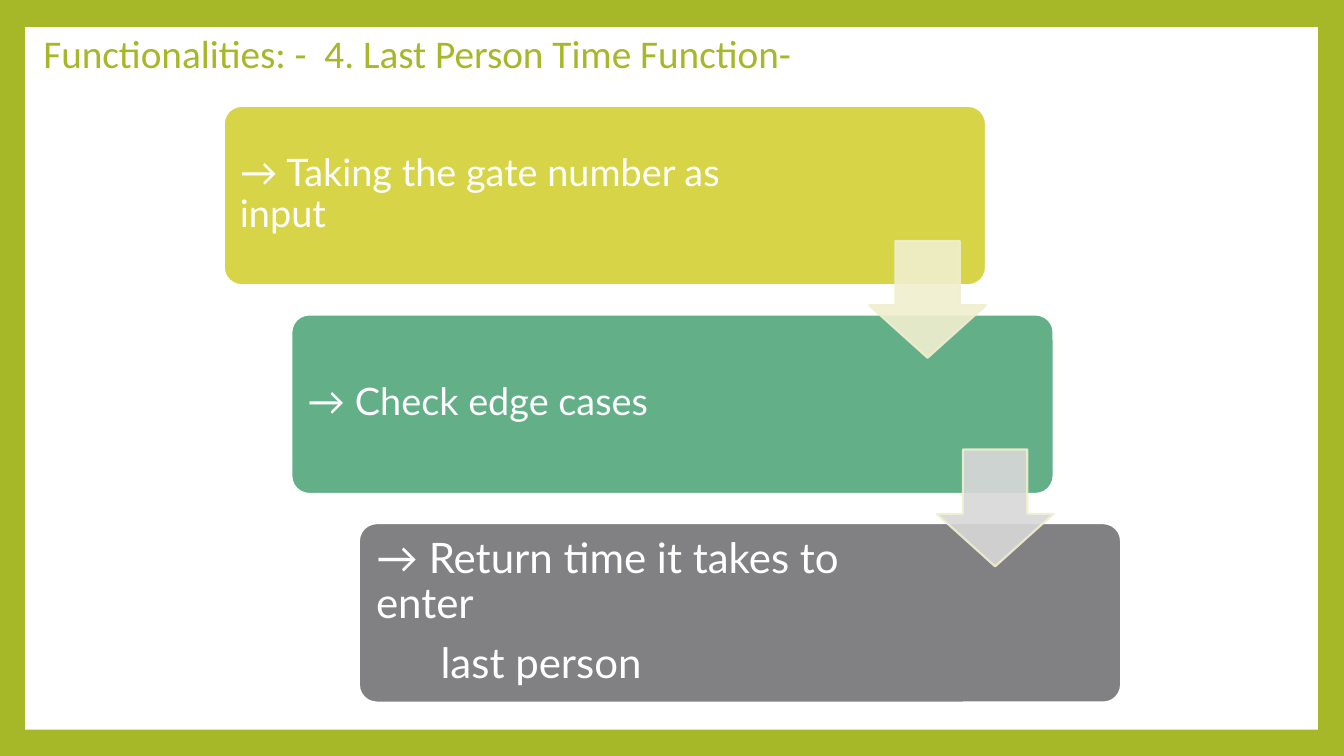
from lxml.etree import SubElement
from pptx import Presentation
from pptx.dml.color import RGBColor
from pptx.enum.shapes import MSO_SHAPE
from pptx.enum.text import MSO_ANCHOR, MSO_AUTO_SIZE, PP_ALIGN
from pptx.oxml.ns import qn
from pptx.util import Inches, Pt

GREEN = RGBColor(0xA6, 0xB7, 0x27)
WHITE = RGBColor(0xFF, 0xFF, 0xFF)
YELLOW = RGBColor(0xD7, 0xD4, 0x47)
TEAL = RGBColor(0x62, 0xAF, 0x88)
GRAY = RGBColor(0x81, 0x81, 0x83)
CREAM = RGBColor(0xF0, 0xEF, 0xCF)
SILVER = RGBColor(0xD8, 0xD8, 0xD9)

# Each step: card colour, font size, text inset, (text, indent) per paragraph
STEPS = [
    (YELLOW, 27, 0.11, [("→ Taking the gate number as input", 0)]),
    (TEAL, 27, 0.11, [("→ Check edge cases", 0)]),
    (GRAY, 30, 0.12, [("→ Return time it takes to enter", 0), ("last person", 0.64)]),
]
ARROW_COLORS = [CREAM, SILVER]
CARD_WIDTH, CARD_HEIGHT = 7.56, 1.78
STEP_RIGHT, STEP_DOWN = 0.67, 2.07
ARROW_SIZE = 1.16


def set_attributes(target, values):
    for name, value in values.items():
        setattr(target, name, value)


def set_font(paragraph, name, size, color):
    set_attributes(paragraph.font, {"name": name, "size": Pt(size)})
    paragraph.font.color.rgb = color


def add_filled_shape(slide, kind, box, fill, line=None, adjustments=()):
    shape = slide.shapes.add_shape(kind, *map(Inches, box))
    shape.shadow.inherit = False
    shape.fill.solid()
    shape.fill.fore_color.rgb = fill
    if line is None:
        shape.line.fill.background()
    else:
        shape.line.color.rgb = line
        shape.line.width = Pt(1.5)
    for index, value in enumerate(adjustments):
        shape.adjustments[index] = value
    return shape


def add_frame(slide, box):
    """Green background with a white panel behind everything else."""
    slide.background.fill.solid()
    slide.background.fill.fore_color.rgb = GREEN
    panel = add_filled_shape(slide, MSO_SHAPE.RECTANGLE, box, WHITE)
    slide.shapes.title.element.addprevious(panel.element)


def add_title(slide, box, text):
    title = slide.shapes.title
    set_attributes(title, dict(zip(("left", "top", "width", "height"), map(Inches, box))))
    frame = title.text_frame
    frame.text = text
    set_attributes(frame, {"word_wrap": True, "vertical_anchor": MSO_ANCHOR.TOP,
                           "auto_size": MSO_AUTO_SIZE.SHAPE_TO_FIT_TEXT})
    paragraph = frame.paragraphs[0]
    paragraph.alignment = PP_ALIGN.LEFT
    set_font(paragraph, "Calibri", 28, GREEN)


def add_step(slide, left, top, color, size, inset, lines):
    """Rounded card with its text in the left part."""
    add_filled_shape(slide, MSO_SHAPE.ROUNDED_RECTANGLE,
                     (left, top, CARD_WIDTH, CARD_HEIGHT), color, WHITE, [0.1])
    text_box = slide.shapes.add_textbox(
        *map(Inches, (left + 0.05, top + 0.05, 5.63, 1.67)))
    frame = text_box.text_frame
    set_attributes(frame, {"word_wrap": True, "vertical_anchor": MSO_ANCHOR.MIDDLE})
    set_attributes(frame, {f"margin_{side}": Inches(inset)
                           for side in ("left", "top", "right", "bottom")})
    for index, (text, indent) in enumerate(lines):
        paragraph = frame.add_paragraph() if index else frame.paragraphs[0]
        paragraph.text = text
        set_attributes(paragraph, {"line_spacing": 0.9, "space_after": Pt(size * 0.35)})
        set_font(paragraph, "Lato", size, WHITE)
        if indent:
            paragraph._p.get_or_add_pPr().set("marL", str(Inches(indent)))


def add_arrow(slide, left, top, color):
    """Slightly transparent arrow leading to the next card."""
    arrow = add_filled_shape(slide, MSO_SHAPE.DOWN_ARROW,
                             (left, top, ARROW_SIZE, ARROW_SIZE),
                             color, CREAM, [0.55, 0.45])
    for color_element in arrow.element.spPr.iter(qn("a:srgbClr")):
        SubElement(color_element, qn("a:alpha"), val="90000")


def add_staircase(slide, left, top):
    corners = [(left + index * STEP_RIGHT, top + index * STEP_DOWN)
               for index in range(len(STEPS))]
    for corner, step in zip(corners, STEPS):
        add_step(slide, *corner, *step)
    for (card_left, card_top), color in zip(corners, ARROW_COLORS):
        add_arrow(slide, card_left + CARD_WIDTH - ARROW_SIZE, card_top + 1.34, color)


def main():
    presentation = Presentation()
    presentation.slide_width = Inches(13.33)
    presentation.slide_height = Inches(7.5)
    slide = presentation.slides.add_slide(presentation.slide_layouts[5])
    add_frame(slide, (0.25, 0.27, 12.82, 6.97))
    add_title(slide, (0.33, 0.24, 9.86, 0.57),
              "Functionalities: -  4. Last Person Time Function-")
    add_staircase(slide, 2.22, 1.05)
    presentation.save("out.pptx")


if __name__ == "__main__":
    main()
